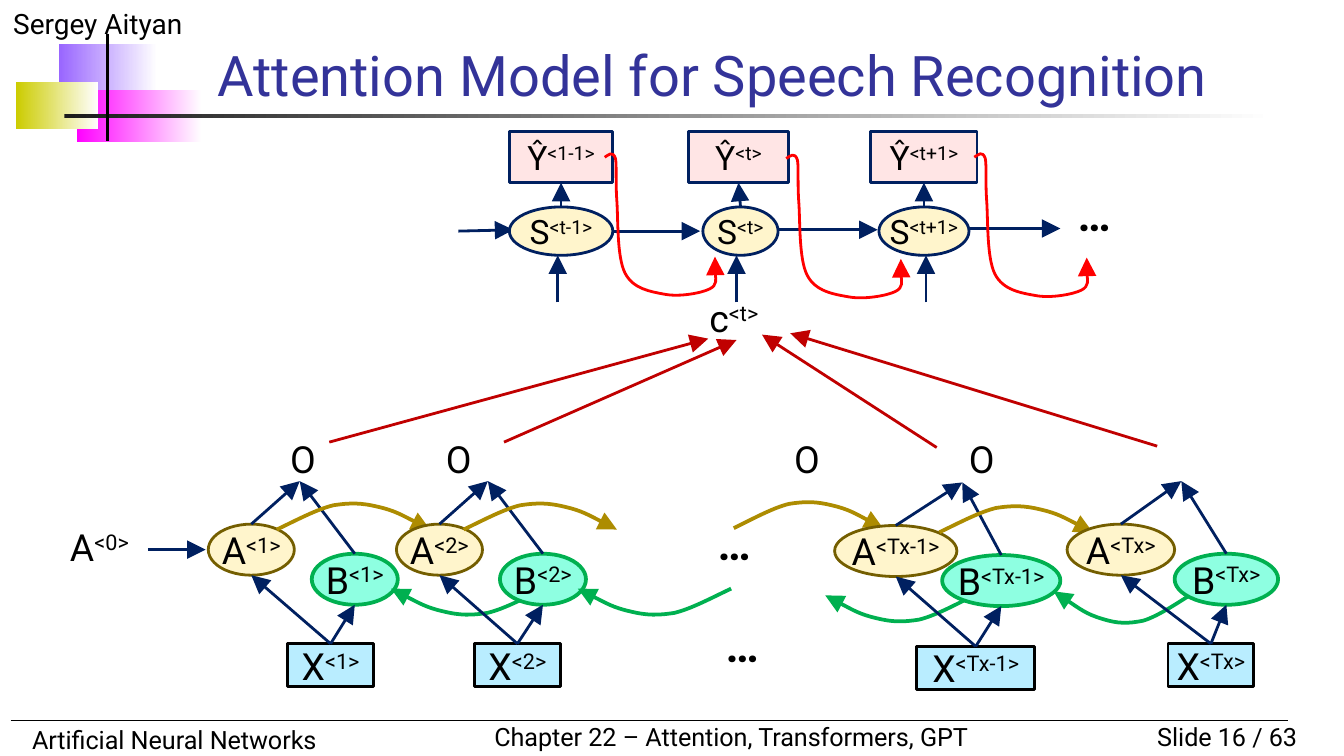
"""Build the slide on a grid of 100 columns by 56.25 rows of square cells."""
import dataclasses
import typing

import lxml.etree
import pptx
import pptx.dml.color
import pptx.enum.shapes
import pptx.enum.text
import pptx.oxml.ns
import pptx.util

COLUMNS, ROWS = 100, 56.25
CELL = pptx.util.Inches(10) / COLUMNS
SHAPES = pptx.enum.shapes.MSO_SHAPE
ALIGN = pptx.enum.text.PP_ALIGN
ANCHOR = pptx.enum.text.MSO_ANCHOR
qn = pptx.oxml.ns.qn
Point = tuple[float, float]


@dataclasses.dataclass(frozen=True)
class Theme:
    font: str = "Roboto"
    ink: str = "000000"
    title: str = "333399"
    navy: str = "002060"
    cream: str = "FFF5CC"
    pink: str = "FFE5E5"
    sky: str = "B9EDFF"
    mint: str = "8EFFE1"
    green: str = "00B050"
    olive: str = "745E00"
    gold: str = "AD8C01"
    red: str = "FF0000"
    crimson: str = "C00000"
    white: str = "FFFFFF"
    title_size: float = 30
    dots_size: float = 24
    node_size: float = 20
    state_size: float = 18
    author_size: float = 15
    footer_size: float = 13.5
    thin: float = 0.75
    normal: float = 1.5
    thick: float = 2


class Area(typing.NamedTuple):
    left: float
    top: float
    width: float
    height: float

    def middle(self, down: float) -> Point:
        return self.left + self.width / 2, self.top + self.height * down


class Curve(typing.NamedTuple):
    left: float
    top: float
    span: float
    rise: float


class Decoder(typing.NamedTuple):
    state: str
    output: str
    state_left: float
    state_width: float
    output_left: float
    output_width: float
    context: float


class Encoder(typing.NamedTuple):
    label: str
    forward: tuple[float, float]
    backward: tuple[float, float]
    source: tuple[float, float]
    peak: float
    drop: float
    forward_arcs: tuple[Curve, ...] = ()
    backward_arcs: tuple[Curve, ...] = ()


THEME = Theme()
ARC = [(0, 0), (.13, .37), (.26, .79), (.37, .95), (.48, 1.05), (.55, 1.05), (.66, .89), (.77, .74),
       (.88, .37), (1, 0)]
FEEDBACK = [(0, 0), (.3, -.2), (.6, -.5), (.8, .1), (.9, .6), (.8, 1.8), (.9, 3.2), (1, 4.6), (.9, 7.4),
            (1.5, 8.6), (2.1, 9.8), (3.4, 10), (4.5, 10.2), (5.6, 10.4), (7.2, 10.1), (7.8, 9.8),
            (8.4, 9.5), (8.2, 8.7), (8.2, 8.3), (8.3, 7.9), (8.3, 7.7), (8.2, 7.4)]
DECODERS = [Decoder("<t-1>", "<1-1>", 37.9, 7.7, 37.9, 7.7, 41.5),
            Decoder("<t>", "<t>", 52.3, 5.6, 51.2, 7.5, 54.8),
            Decoder("<t+1>", "<t+1>", 65.4, 6.7, 64.8, 7.9, 68.9)]
FEEDBACKS = [Curve(45, 11.7, 1, 1), Curve(58.5, 11.8, 1.04, 1.01), Curve(72.5, 11.7, 1.02, 1.01)]
ENCODERS = [
    Encoder("<1>", (15.5, 6.4), (23.2, 6.4), (21.4, 6.4), 22.3, 0,
            (Curve(20.6, 39.4, 11.4, -1.9),), (Curve(40.5, 43.8, -11.4, 1.9),)),
    Encoder("<2>", (29.5, 6.4), (37.2, 6.4), (35.3, 6.4), 36.3, 0,
            (Curve(34.5, 39.4, 11.4, -1.9), Curve(54.6, 39.3, 11.1, -1.9)),
            (Curve(54.4, 43.8, -11.4, 1.9), Curve(72.5, 44.3, -11.1, 1.9))),
    Encoder("<Tx-1>", (62.1, 9.1), (70.1, 8.8), (68.2, 8.8), 71.6, .1,
            (Curve(69.9, 39.6, 11.4, -1.9),), (Curve(89, 44, -10.6, 2.3),)),
    Encoder("<Tx>", (79.4, 8), (87.4, 7.7), (86.9, 6.4), 87.9, 0)]


def emu(cells: float) -> int:
    return round(cells * CELL)


def rgb(value: str) -> pptx.dml.color.RGBColor:
    return pptx.dml.color.RGBColor.from_string(value)


def write(box, *spans: str, size: float, color: str = THEME.ink, bold: bool = False, align=ALIGN.LEFT,
          anchor=ANCHOR.TOP, wrap: bool = True, inset: bool = True, tabs: tuple[float, ...] = ()) -> None:
    frame = box.text_frame
    frame.word_wrap, frame.vertical_anchor = wrap, anchor
    if not inset:
        frame.margin_left = frame.margin_right = frame.margin_top = frame.margin_bottom = 0
    para = frame.paragraphs[0]
    para.alignment = align
    if tabs:
        stops = lxml.etree.SubElement(para._p.get_or_add_pPr(), qn("a:tabLst"))
        for stop in tabs:
            lxml.etree.SubElement(stops, qn("a:tab"), pos=str(emu(stop)), algn="l")
    for index, text in enumerate(spans):
        span = para.add_run()
        span.text = text
        span.font.name, span.font.size, span.font.bold = THEME.font, pptx.util.Pt(size), bold
        span.font.color.rgb = rgb(color)
        if index:
            span._r.get_or_add_rPr().set("baseline", "30000")


def add_text(page, area: Area, *spans: str, **style) -> None:
    write(page.shapes.add_textbox(*map(emu, area)), *spans, **style)


def add_node(page, kind, area: Area, letter: str, label: str, *, size: float, fill: str, line: str,
             weight: float = THEME.normal):
    node = page.shapes.add_shape(kind, *map(emu, area))
    node.shadow.inherit = False
    node.fill.solid()
    node.fill.fore_color.rgb = rgb(fill)
    stroke(node.line, line, weight)
    write(node, letter, label, size=size, align=ALIGN.CENTER, anchor=ANCHOR.MIDDLE, wrap=False, inset=False)
    return node


def add_fade(page, area: Area, color: str) -> None:
    band = page.shapes.add_shape(SHAPES.RECTANGLE, *map(emu, area))
    band.shadow.inherit = False
    band.line.fill.background()
    band.fill.gradient()
    band.fill.gradient_angle = 0
    for stop, shade in zip(band.fill.gradient_stops, (color, THEME.white)):
        stop.color.rgb = rgb(shade)


def stroke(line, color: str, weight: float, arrow: bool = False) -> None:
    line.color.rgb, line.width = rgb(color), pptx.util.Pt(weight)
    if arrow:
        lxml.etree.SubElement(line._get_or_add_ln(), qn("a:tailEnd"), type="triangle", w="lg", len="lg")


def add_line(page, start: Point, end: Point, color: str = THEME.navy, weight: float = THEME.normal,
             arrow: bool = True, source=None, target=None) -> None:
    line = page.shapes.add_connector(pptx.enum.shapes.MSO_CONNECTOR.STRAIGHT, *map(emu, (*start, *end)))
    stroke(line.line, color, weight, arrow)
    lxml.etree.SubElement(line._element.spPr, qn("a:effectLst"))
    if source is not None:
        line.begin_connect(source, 0)
    if target is not None:
        line.end_connect(target, 2)


def add_curve(page, curve: Curve, pattern: list[Point], color: str, weight: float) -> None:
    points = [(emu(curve.left + x * curve.span), emu(curve.top + y * curve.rise)) for x, y in pattern]
    builder = page.shapes.build_freeform(*points[0])
    builder.add_line_segments(points[1:], close=False)
    shape = builder.convert_to_shape()
    shape.shadow.inherit = False
    shape.fill.background()
    stroke(shape.line, color, weight, arrow=True)
    outline = next(shape._element.iter(qn("a:path")))
    for index, segment in enumerate(outline.findall(qn("a:lnTo"))):
        if index % 3 == 0:
            bezier = lxml.etree.SubElement(outline, qn("a:cubicBezTo"))
        bezier.append(segment[0])
        outline.remove(segment)


def draw_frame(page) -> None:
    for area, color in ((Area(4.4, 3.3, 7.3, 3.9), "9966FF"), (Area(5.7, 6.7, 9.3, 3.9), "FF00FF"),
                        (Area(1.2, 6.1, 6.1, 3.5), "CCCC00"), (Area(4.8, 8.5, 90, .3), "1C1C1C")):
        add_fade(page, area, color)
    add_text(page, Area(0, 0, 25, 3.5), "Sergey Aityan", size=THEME.author_size)
    footer = THEME.footer_size
    add_text(page, Area(82.5, 53.2, 15, 3.3), "Slide 16 / 63", size=footer, align=ALIGN.RIGHT)
    add_text(page, Area(1.4, 53.4, 37, 3.3), "Artificial Neural Networks", size=footer)
    add_text(page, Area(35.8, 53.2, 37.7, 3.3), "Chapter 22 – Attention, Transformers, GPT", size=footer,
             wrap=False)
    add_line(page, (.8, 53.6), (95.8, 53.6), THEME.ink, THEME.thin, arrow=False)
    add_line(page, (8, 2.5), (8, 10.5), THEME.ink, THEME.thick, arrow=False)
    add_text(page, Area(15.2, 3.1, 80.6, 5.4), "Attention Model for Speech Recognition",
             size=THEME.title_size, color=THEME.title, anchor=ANCHOR.BOTTOM)


def draw_decoders(page) -> None:
    for start, end in (((44.5, 17.2), (52.1, 17.2)), ((53.4, 17.2), (56.9, 17.2)),
                       ((57.9, 17.1), (65.3, 17.1)), ((71.5, 17), (78.9, 17)), ((34.1, 17.2), (38.2, 17.1))):
        add_line(page, start, end)
    for step in DECODERS:
        state = Area(step.state_left, 15.4, step.state_width, 3.6)
        output = Area(step.output_left, 9.8, step.output_width, 3.8)
        style = dict(size=THEME.state_size, line=THEME.navy)
        add_node(page, SHAPES.OVAL, state, "S", step.state, fill=THEME.cream, **style)
        box = add_node(page, SHAPES.RECTANGLE, output, "Ŷ", step.output, fill=THEME.pink, **style)
        add_line(page, state.middle(0), output.middle(1), target=box)
        add_line(page, (step.context, 22.5), (step.context, 19))
    for curve in FEEDBACKS:
        add_curve(page, curve, FEEDBACK, THEME.red, THEME.normal)


def draw_attention(page) -> None:
    add_text(page, Area(51.8, 21.5, 7.2, 4.4), "c", "<t>", size=THEME.node_size)
    for start, end in (((69.7, 33.3), (56.7, 24.9)), ((86.1, 33.2), (58.8, 24.8)),
                       ((24.5, 32.9), (52.7, 25.2)), ((37.5, 32.9), (54.8, 25.3))):
        add_line(page, start, end, THEME.crimson)


def draw_encoder(page, step: Encoder) -> None:
    forward = Area(step.forward[0], 39 + step.drop, step.forward[1], 3.8)
    backward = Area(step.backward[0], 41.2 + step.drop, step.backward[1], 3.8)
    source = Area(step.source[0], 47.9 + 2 * step.drop, step.source[1], 3.2)
    peak = step.peak, 35.8 + step.drop
    size = THEME.node_size
    add_node(page, SHAPES.OVAL, forward, "A", step.label, size=size, fill=THEME.cream, line=THEME.olive)
    box = add_node(page, SHAPES.RECTANGLE, source, "X", step.label, size=size, fill=THEME.sky, line=THEME.ink)
    add_node(page, SHAPES.OVAL, backward, "B", step.label, size=size, fill=THEME.mint, line=THEME.green,
             weight=THEME.thick)
    for node in (forward, backward):
        add_line(page, source.middle(0), node.middle(1), source=box)
        add_line(page, node.middle(0), peak)
    for arcs, color in ((step.forward_arcs, THEME.gold), (step.backward_arcs, THEME.green)):
        for arc in arcs:
            add_curve(page, arc, ARC, color, THEME.thick)


def main() -> None:
    deck = pptx.Presentation()
    deck.slide_width, deck.slide_height = emu(COLUMNS), emu(ROWS)
    page = deck.slides.add_slide(deck.slide_layouts[6])
    draw_frame(page)
    draw_decoders(page)
    draw_attention(page)
    add_line(page, (11, 40.9), (15.3, 40.9))
    add_text(page, Area(4.2, 39.1, 6.4, 3.2), "A", "<0>", size=THEME.node_size, align=ALIGN.CENTER,
             anchor=ANCHOR.MIDDLE, wrap=False, inset=False)
    for step in ENCODERS:
        draw_encoder(page, step)
    add_text(page, Area(20.6, 32, 72.2, 4.4), "O\tO\tO\tO", size=THEME.node_size, tabs=(11.6, 37.5, 50.5))
    for left, top in ((53, 45.5), (52.4, 37.9), (79.2, 13.4)):
        add_text(page, Area(left, top, 5.1, 5.1), "…", size=THEME.dots_size, bold=True)
    deck.save("out.pptx")


if __name__ == "__main__":
    main()
